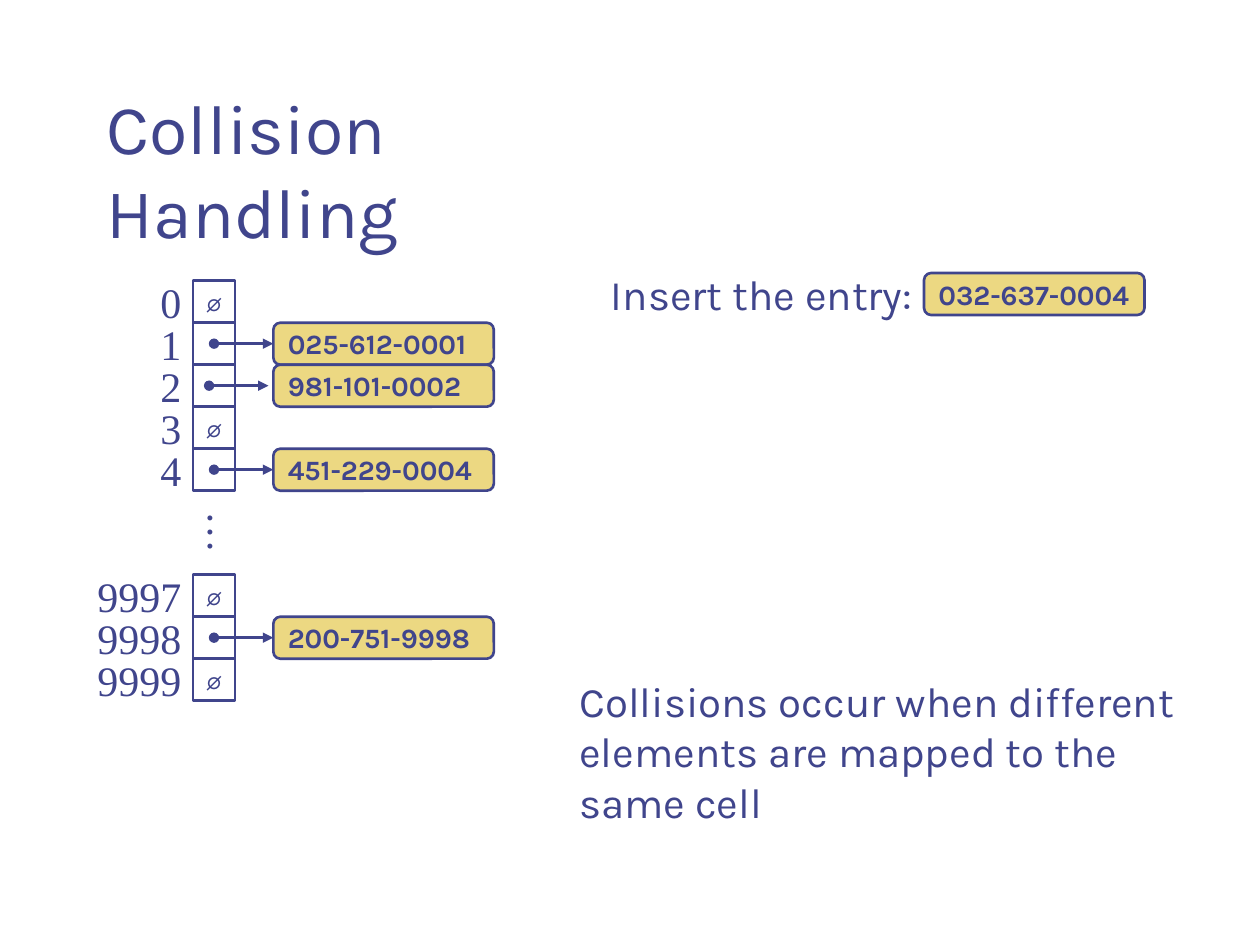
from typing import NamedTuple

from lxml.etree import SubElement
from pptx import Presentation
from pptx.dml.color import RGBColor
from pptx.enum.shapes import MSO_CONNECTOR, MSO_SHAPE
from pptx.enum.text import MSO_ANCHOR, MSO_AUTO_SIZE, PP_ALIGN
from pptx.oxml.ns import qn
from pptx.shapes.autoshape import Shape
from pptx.slide import Slide
from pptx.util import Pt

INDIGO = RGBColor(0x40, 0x45, 0x8C)
SAND = RGBColor(0xEC, 0xD8, 0x82)
SANS = "Karla"
SERIF = "Times New Roman"

CELL = 24
CELL_LEFT = 110.3
TABLE_TOP = 160.4
ENTRY_LEFT = 156.2
ENTRY_WIDTH = 126
LINE_WIDTH = 1.5


class Bucket(NamedTuple):
    slot: int
    index: str
    entry: str = ""
    link_shift: float = 0


class Label(NamedTuple):
    text: str
    left: float
    top: float
    width: float
    height: float
    size: float = 24
    font: str = SANS
    align: PP_ALIGN = PP_ALIGN.LEFT
    wrap: bool = False
    rotation: float = 0


BUCKETS = [
    Bucket(0, "0"),
    Bucket(1, "1", "025-612-0001"),
    Bucket(2, "2", "981-101-0002", -2.8),
    Bucket(3, "3"),
    Bucket(4, "4", "451-229-0004"),
    Bucket(7, "9997"),
    Bucket(8, "9998", "200-751-9998"),
    Bucket(9, "9999"),
]

LABELS = [
    Label("Collision Handling", 54, 44.6, 330, 55.4, size=40, wrap=True),
    Label("…", 109.4, 286.6, 38.2, 36, font=SERIF, rotation=90),
    Label("Insert the entry:", 342, 150, 198, 36),
    Label("Collisions occur when different elements are mapped to the same cell",
          324, 382.3, 360, 94.3, wrap=True),
]


def set_text(sp: Shape, text: str, size: float, font: str = SANS,
             align: PP_ALIGN = PP_ALIGN.LEFT, bold: bool = False) -> None:
    p = sp.text_frame.paragraphs[0]
    p.text = text
    p.alignment = align
    p.font.size = Pt(size)
    p.font.name = font
    p.font.bold = bold
    p.font.color.rgb = INDIGO


def add_label(s: Slide, label: Label) -> None:
    sp = s.shapes.add_textbox(Pt(label.left), Pt(label.top),
                              Pt(label.width), Pt(label.height))
    sp.rotation = label.rotation
    sp.text_frame.word_wrap = label.wrap
    sp.text_frame.auto_size = MSO_AUTO_SIZE.SHAPE_TO_FIT_TEXT
    set_text(sp, label.text, label.size, label.font, label.align)


def add_box(s: Slide, kind: MSO_SHAPE, left: float, top: float, width: float) -> Shape:
    sp = s.shapes.add_shape(kind, Pt(left), Pt(top), Pt(width), Pt(CELL))
    sp.shadow.inherit = False
    sp.fill.background()
    sp.line.color.rgb = INDIGO
    sp.line.width = Pt(LINE_WIDTH)
    sp.text_frame.word_wrap = False
    sp.text_frame.vertical_anchor = MSO_ANCHOR.MIDDLE
    return sp


def add_entry(s: Slide, text: str, left: float, top: float) -> Shape:
    sp = add_box(s, MSO_SHAPE.ROUNDED_RECTANGLE, left, top, ENTRY_WIDTH)
    sp.fill.solid()
    sp.fill.fore_color.rgb = SAND
    set_text(sp, text, 16, bold=True)
    return sp


def add_link(s: Slide, entry: Shape, y: float, shift: float) -> None:
    """Draw a pointer from the middle of a cell to its entry."""
    cxn = s.shapes.add_connector(
        MSO_CONNECTOR.STRAIGHT, Pt(CELL_LEFT + CELL / 2 + shift), Pt(y),
        Pt(ENTRY_LEFT + shift), Pt(y))
    cxn.line.color.rgb = INDIGO
    cxn.line.width = Pt(LINE_WIDTH)
    ln = cxn.line._get_or_add_ln()
    SubElement(ln, qn("a:headEnd"), type="oval")
    SubElement(ln, qn("a:tailEnd"), type="triangle")
    SubElement(cxn._element.spPr, qn("a:effectLst"))
    if not shift:
        cxn.end_connect(entry, 1)


def add_bucket(s: Slide, bucket: Bucket) -> None:
    top = TABLE_TOP + bucket.slot * CELL
    cell = add_box(s, MSO_SHAPE.RECTANGLE, CELL_LEFT, top, CELL)
    width = 14.4 + 12 * len(bucket.index)
    add_label(s, Label(bucket.index, CELL_LEFT + 0.4 - width, top - 6, width, 36,
                       font=SERIF, align=PP_ALIGN.RIGHT))
    if bucket.entry:
        entry = add_entry(s, bucket.entry, ENTRY_LEFT, top)
        add_link(s, entry, top + CELL / 2, bucket.link_shift)
    else:
        set_text(cell, "∅", 18, align=PP_ALIGN.CENTER)


def main() -> None:
    prs = Presentation()
    prs.slide_width, prs.slide_height = Pt(720), Pt(540)
    s = prs.slides.add_slide(prs.slide_layouts[6])
    for bucket in BUCKETS:
        add_bucket(s, bucket)
    for label in LABELS:
        add_label(s, label)
    add_entry(s, "032-637-0004", 528, 156)
    prs.save("out.pptx")


if __name__ == "__main__":
    main()
